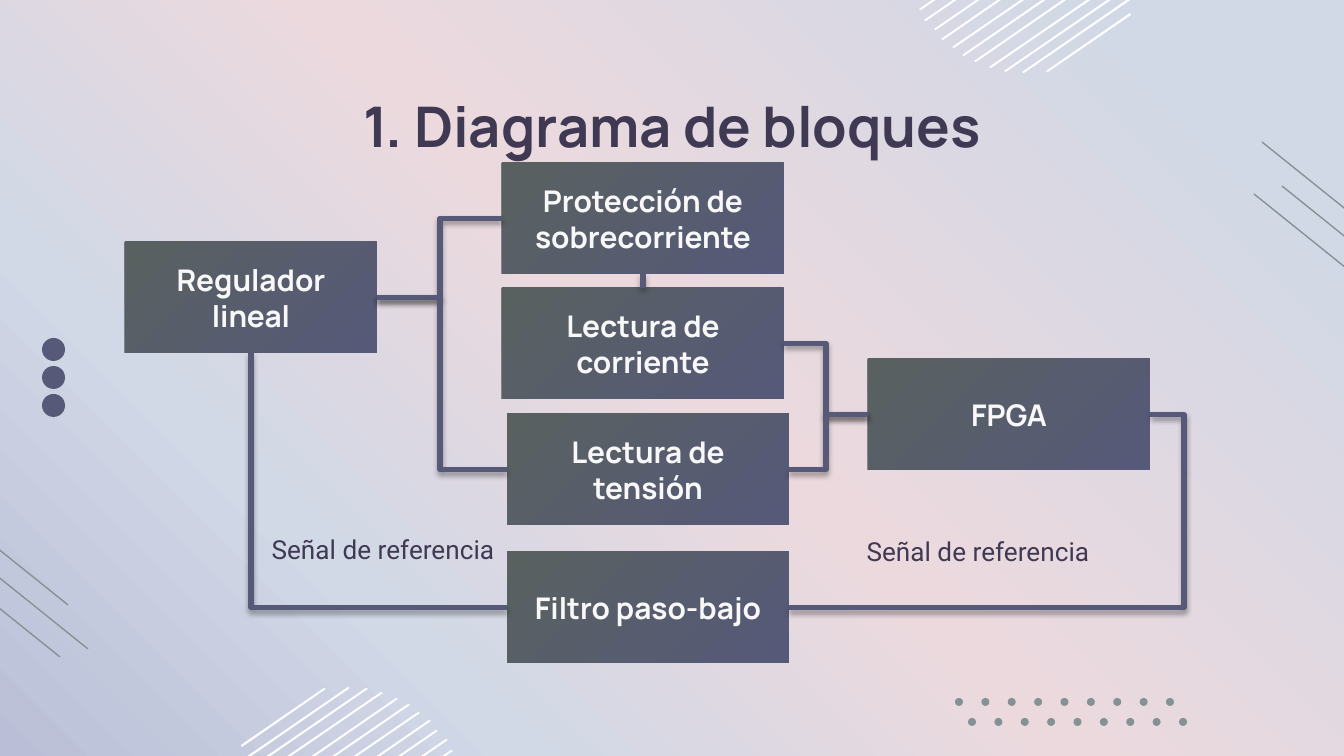
from copy import deepcopy

from lxml import etree
from pptx import Presentation
from pptx.dml.color import RGBColor
from pptx.enum import shapes, text
from pptx.oxml.ns import qn
from pptx.util import Emu, Pt

SCALE = 914400 / 134.4
HUES = {
    "ink": "403953", "slate": "575979", "moss": "586160", "sage": "859294",
    "white": "FFFFFF", "pale": "F8F8F8", "sky": "D1D8E6", "rose": "ECD9DD",
    "haze": "BABFD7", "black": "000000",
}
TOP, LEFT, BASE, RIGHT = range(4)
SHAPE, LINK = shapes.MSO_SHAPE, shapes.MSO_CONNECTOR


def px(*nums):
    return [Emu(round(n * SCALE)) for n in nums]


def hue(name):
    return RGBColor.from_string(HUES[name])


def grade(fill, root, angle, stops):
    """Give a fill a linear gradient; the angle runs counter-clockwise."""
    fill.gradient()
    fill.gradient_angle = angle
    row = next(root.iter(qn("a:gsLst")))
    while len(row) < len(stops):
        row.append(deepcopy(row[0]))
    for stop, (pos, name) in zip(fill.gradient_stops, stops):
        stop.position = pos
        stop.color.rgb = hue(name)


def write(shape, words, size, face, color, bold=False, pad=None):
    frame = shape.text_frame
    frame.word_wrap = True
    frame.text = words
    if pad is not None:
        frame.margin_top, frame.margin_bottom = px(pad, pad)
    para = frame.paragraphs[0]
    para.alignment = text.PP_ALIGN.CENTER
    font = para.runs[0].font
    font.size, font.name, font.bold = Pt(size), face, bold
    font.color.rgb = hue(color)
    return frame, para


def paint(shape, name):
    shape.shadow.inherit = False
    shape.fill.solid()
    shape.fill.fore_color.rgb = hue(name)
    shape.line.fill.background()


def dot(slide, x, y, size, name):
    paint(slide.shapes.add_shape(SHAPE.OVAL, *px(x, y, size, size)), name)


def stack(slide, x, y):
    for row in range(3):
        dot(slide, x, y + 28 * row, 23, "slate")


def dots(slide, x, y, width):
    """Place two staggered rows of nine dots."""
    for row in range(2):
        for col in range(9):
            dot(slide, x + 13 * row + width * col / 8, y + 20 * row, 8, "sage")


def hatch(slide, x, y, turn=False):
    """Place a striped disc; a turned one is rotated by half a circle."""
    bars = [(18, 1, 85), (7, 0, 120), (3, 1, 142), (0, 5, 160), (0, 11, 175),
            (3, 17, 184), (5, 25, 192), (10, 33, 198), (15, 43, 200),
            (22, 52, 203), (28, 63, 202)]
    sign = -1 if turn else 1
    for left, top, width in bars:
        right, base = left + width, top + 0.69 * width
        pts = [(x + sign * a, y + sign * b) for a, b in (
            (right - 2, top), (left, base - 2), (left + 1, base), (right, top + 1))]
        pen = slide.shapes.build_freeform(*pts[0], scale=SCALE)
        pen.add_line_segments(pts[1:], close=True)
        paint(pen.convert_to_shape(), "white")


def wire(slide, kind, ends, name, width):
    line = slide.shapes.add_connector(kind, *px(*ends))
    line.line.color.rgb = hue(name)
    line.line.width = Pt(width)
    glow = etree.SubElement(line._element.spPr, qn("a:effectLst"))
    return line, glow


def rays(slide, x, y):
    for dx, dy in ((28, 44), (0, 52), (8, 0)):
        a, b = x + dx, y + dy
        wire(slide, LINK.STRAIGHT, (a, b, a + 107, b + 86), "sage", 0.75)


def block(slide, words, x, y, width=282, height=111):
    box = slide.shapes.add_shape(SHAPE.RECTANGLE, *px(x, y, width, height))
    paint(box, "slate")
    grade(box.fill, box._element, 135, [(0, "slate"), (1, "moss")])
    frame, _ = write(box, words, 16, "Manrope", "pale", True, 13)
    frame.vertical_anchor = text.MSO_ANCHOR.MIDDLE
    return box


def link(slide, start, out, end, into, trunk=None, kind=LINK.ELBOW):
    """Join two blocks; trunk is the x of the upright part."""
    line, glow = wire(slide, kind, (0, 0, 0, 0), "slate", 3)
    line.begin_connect(start, out)
    line.end_connect(end, into)
    cast = etree.SubElement(glow, qn("a:outerShdw"), blurRad=str(Pt(3.1)),
                            dist=str(Pt(1.8)), dir="5400000", rotWithShape="0")
    tint = etree.SubElement(cast, qn("a:srgbClr"), val=HUES["black"])
    etree.SubElement(tint, qn("a:alpha"), val="35000")
    geom = line._element.spPr.find(qn("a:prstGeom"))
    if trunk:
        part = (px(trunk)[0] - line.begin_x) / (line.end_x - line.begin_x)
        etree.SubElement(geom.find(qn("a:avLst")), qn("a:gd"), name="adj1",
                         fmla=f"val {round(part * 100000)}")
    elif kind == LINK.ELBOW:
        geom.set("prst", "bentConnector2")


def label(slide, words, x, y):
    box = slide.shapes.add_textbox(*px(x, y, 266, 50))
    _, para = write(box, words, 14, "Roboto", "ink")
    para.line_spacing = 1.15


def decor(slide):
    grade(slide.background.fill, slide._element, 225, [
        (0, "sky"), (0.11, "sky"), (0.49, "rose"), (0.75, "sky"), (1, "haze")])
    hatch(slide, 223, 687)
    stack(slide, 42, 338)
    rays(slide, -47, 519)
    dots(slide, 955, 698, 211)
    rays(slide, 1254, 142)
    hatch(slide, 1149, 73, turn=True)


def title(slide, words, x, y, width, height):
    head = slide.shapes.title
    head.left, head.top, head.width, head.height = px(x, y, width, height)
    frame, _ = write(head, words, 30, "Manrope", "ink", True, 13)
    frame.vertical_anchor = text.MSO_ANCHOR.TOP
    frame.auto_size = text.MSO_AUTO_SIZE.NONE


def chart(slide, x, y):
    """Place the block diagram with its links and labels."""
    power = block(slide, "Regulador lineal", x, y + 79, 252)
    guard = block(slide, "Protección de sobrecorriente", x + 377, y)
    amps = block(slide, "Lectura de corriente", x + 377, y + 125)
    volts = block(slide, "Lectura de tensión", x + 382, y + 251)
    logic = block(slide, "FPGA", x + 743, y + 196)
    sieve = block(slide, "Filtro paso-bajo", x + 382, y + 389)
    link(slide, power, RIGHT, guard, LEFT, x + 315)
    link(slide, power, RIGHT, volts, LEFT, x + 315)
    link(slide, guard, BASE, amps, TOP, kind=LINK.STRAIGHT)
    link(slide, amps, RIGHT, logic, LEFT, x + 701)
    link(slide, volts, RIGHT, logic, LEFT, x + 701)
    link(slide, logic, RIGHT, sieve, RIGHT, x + 1059)
    link(slide, sieve, LEFT, power, BASE)
    for dx, dy in ((720, 361), (125, 359)):
        label(slide, "Señal de referencia", x + dx, y + dy)


def main():
    deck = Presentation()
    deck.slide_width, deck.slide_height = px(1344, 756)
    slide = deck.slides.add_slide(deck.slide_layouts[5])
    decor(slide)
    title(slide, "1. Diagrama de bloques", 106, 79, 1133, 70)
    chart(slide, 125, 163)
    deck.save("out.pptx")


if __name__ == "__main__":
    main()
